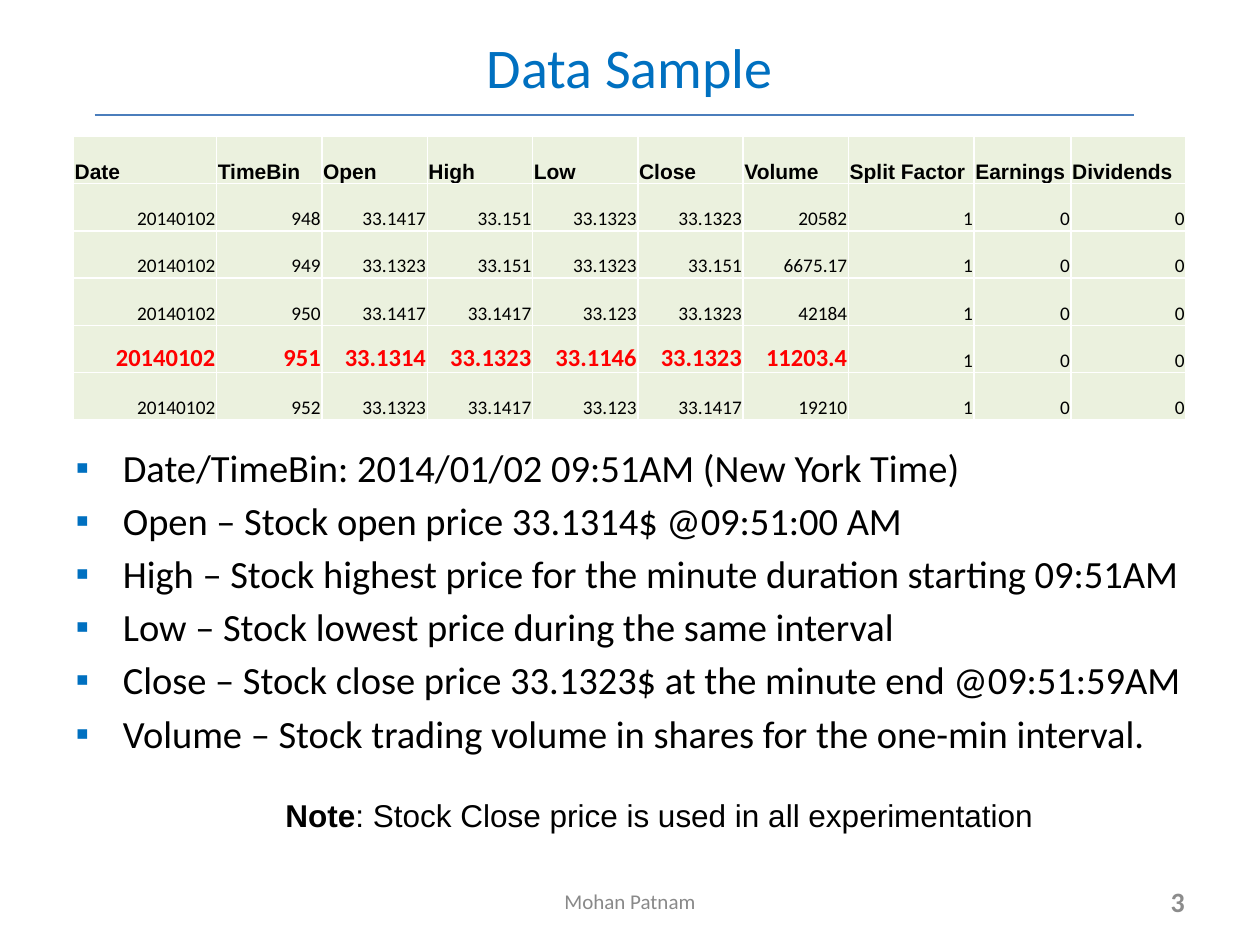
"""Build the stock data sample slide with its table, field list and note."""
from typing import NamedTuple

from lxml import etree
from pptx import Presentation
from pptx.dml.color import RGBColor
from pptx.enum.shapes import MSO_CONNECTOR
from pptx.enum.text import MSO_ANCHOR, MSO_AUTO_SIZE, PP_ALIGN
from pptx.oxml.ns import qn
from pptx.util import Pt

LEFT, CENTER, RIGHT = PP_ALIGN.LEFT, PP_ALIGN.CENTER, PP_ALIGN.RIGHT
TOP, MIDDLE, BOTTOM = MSO_ANCHOR.TOP, MSO_ANCHOR.MIDDLE, MSO_ANCHOR.BOTTOM
NO_AUTO_SIZE = MSO_AUTO_SIZE.NONE
STRAIGHT = MSO_CONNECTOR.STRAIGHT

COLORS = {
    "accent": "0070C0", "text": "000000", "highlight": "FF0000", "cell": "EBF1DE",
    "border": "FFFFFF", "rule": "4B7EBC", "footer": "898989", "number": "8C8C8C",
}


class Style(NamedTuple):
    """Describe the look of a run of text."""

    size: float
    font: str = "Calibri"
    color: str = "text"
    bold: bool = False


class Box(NamedTuple):
    """Hold a position and size in points."""

    left: float
    top: float
    width: float
    height: float


class Label(NamedTuple):
    """Describe a text box; each segment is a text with its style."""

    box: Box
    segments: list[tuple[str, Style]]
    alignment: PP_ALIGN
    anchor: MSO_ANCHOR


TITLE = Style(32, color="accent")
BODY = Style(22)
HEADER = Style(12, "Arial", bold=True)
DATA = Style(11)
HIGHLIGHT = Style(14, color="highlight", bold=True)
NOTE = Style(18, "Arial")
NOTE_HEADING = Style(18, "Arial", bold=True)

COLUMN_WIDTHS = [81.8] + [60.2] * 6 + [71.8, 55.4, 65.6]
ROW_HEIGHT = 27
HEADINGS = ["Date", "TimeBin", "Open", "High", "Low", "Close", "Volume",
            "Split Factor", "Earnings", "Dividends"]
DATE = "20140102"
CONSTANT_VALUES = ["1", "0", "0"]
HIGHLIGHT_BIN = "951"
MINUTES = [
    ["948", "33.1417", "33.151", "33.1323", "33.1323", "20582"],
    ["949", "33.1323", "33.151", "33.1323", "33.151", "6675.17"],
    ["950", "33.1417", "33.1417", "33.123", "33.1323", "42184"],
    [HIGHLIGHT_BIN, "33.1314", "33.1323", "33.1146", "33.1323", "11203.4"],
    ["952", "33.1323", "33.1417", "33.123", "33.1417", "19210"],
]
FIELDS = [
    "Date/TimeBin: 2014/01/02 09:51AM (New York Time)",
    "Open – Stock open price 33.1314$ @09:51:00 AM",
    "High – Stock highest price for the minute duration starting 09:51AM",
    "Low – Stock lowest price during the same interval",
    "Close – Stock close price 33.1323$ at the minute end @09:51:59AM",
    "Volume – Stock trading volume in shares for the one-min interval.",
]
LABELS = [
    Label(Box(156, 451.5, 459, 29),
          [("Note", NOTE_HEADING),
           (": Stock Close price is used in all experimentation", NOTE)], LEFT, TOP),
    Label(Box(246, 500.5, 228, 28.8),
          [("Mohan Patnam", Style(12, color="footer"))], CENTER, MIDDLE),
    Label(Box(516, 500.5, 168, 28.8),
          [("3", Style(16, color="number", bold=True))], RIGHT, MIDDLE),
]


def rgb(name: str) -> RGBColor:
    """Return the named colour."""
    return RGBColor.from_string(COLORS[name])


def format_font(font, style: Style) -> None:
    """Apply a style to a font."""
    font.size, font.name, font.bold = Pt(style.size), style.font, style.bold
    font.color.rgb = rgb(style.color)


def place(shape, box: Box) -> None:
    """Move a shape to a box."""
    shape.left, shape.top, shape.width, shape.height = map(Pt, box)


def fill_title(shape) -> None:
    """Write the slide title."""
    place(shape, Box(36, 9.5, 648, 56))
    shape.text_frame.text = "Data Sample"
    shape.text_frame.vertical_anchor = MIDDLE
    paragraph = shape.text_frame.paragraphs[0]
    paragraph.alignment = CENTER
    format_font(paragraph.runs[0].font, TITLE)


def add_bullet(paragraph) -> None:
    """Give a paragraph a hanging square bullet."""
    properties = paragraph._p.get_or_add_pPr()
    properties.set("marL", str(Pt(27)))
    properties.set("indent", str(-Pt(27)))
    color = etree.SubElement(properties, qn("a:buClr"))
    etree.SubElement(color, qn("a:srgbClr"), val=COLORS["accent"])
    etree.SubElement(properties, qn("a:buFont"), typeface="Arial")
    etree.SubElement(properties, qn("a:buChar"), char="▪")


def fill_body(shape) -> None:
    """Write the list of field explanations."""
    place(shape, Box(36, 250, 648, 194))
    text_frame = shape.text_frame
    text_frame.text = "\n".join(FIELDS)
    text_frame.auto_size = NO_AUTO_SIZE
    for index, paragraph in enumerate(text_frame.paragraphs):
        add_bullet(paragraph)
        paragraph.space_before = Pt(4 if index else 0)
        format_font(paragraph.runs[0].font, BODY)


def fill_cell(cell, text: str, style: Style, alignment: PP_ALIGN) -> None:
    """Write one table cell with its borders and fill."""
    cell.text_frame.text = text
    cell.vertical_anchor = BOTTOM
    cell.margin_left = cell.margin_right = cell.margin_top = Pt(0.7)
    cell.margin_bottom = 0
    properties = cell._tc.get_or_add_tcPr()
    for side in ("lnL", "lnR", "lnT", "lnB"):
        border = etree.SubElement(properties, qn(f"a:{side}"), w=str(Pt(1)))
        solid = etree.SubElement(border, qn("a:solidFill"))
        etree.SubElement(solid, qn("a:srgbClr"), val=COLORS["border"])
    cell.fill.solid()
    cell.fill.fore_color.rgb = rgb("cell")
    paragraph = cell.text_frame.paragraphs[0]
    paragraph.alignment = alignment
    format_font(paragraph.runs[0].font, style)


def add_data_table(slide) -> None:
    """Add the table of minute prices."""
    rows = [HEADINGS] + [[DATE, *minute, *CONSTANT_VALUES] for minute in MINUTES]
    box = Box(42, 78, sum(COLUMN_WIDTHS), ROW_HEIGHT * len(rows))
    table = slide.shapes.add_table(len(rows), len(HEADINGS), *map(Pt, box)).table
    table.first_row = table.horz_banding = False
    for column, width in zip(table.columns, COLUMN_WIDTHS):
        column.width = Pt(width)
    measured_columns = len(HEADINGS) - len(CONSTANT_VALUES)
    for row_index, values in enumerate(rows):
        table.rows[row_index].height = Pt(ROW_HEIGHT)
        for column_index, value in enumerate(values):
            style = HEADER if row_index == 0 else DATA
            if values[1] == HIGHLIGHT_BIN and column_index < measured_columns:
                style = HIGHLIGHT
            fill_cell(table.cell(row_index, column_index), value, style,
                      RIGHT if row_index else LEFT)


def add_rule(slide) -> None:
    """Add the line under the title."""
    rule = slide.shapes.add_connector(STRAIGHT, Pt(54), Pt(65.7), Pt(648), Pt(65.7))
    rule.line.color.rgb = rgb("rule")
    rule.line.width = Pt(0.75)
    etree.SubElement(rule._element.spPr, qn("a:effectLst"))


def add_label(slide, label: Label) -> None:
    """Add a single-paragraph text box."""
    text_frame = slide.shapes.add_textbox(*map(Pt, label.box)).text_frame
    text_frame.word_wrap = True
    text_frame.vertical_anchor = label.anchor
    paragraph = text_frame.paragraphs[0]
    paragraph.alignment = label.alignment
    for text, style in label.segments:
        run = paragraph.add_run()
        run.text = text
        format_font(run.font, style)


def main() -> None:
    """Build and save the presentation."""
    presentation = Presentation()
    presentation.slide_width, presentation.slide_height = Pt(720), Pt(540)
    slide = presentation.slides.add_slide(presentation.slide_layouts[1])
    fill_title(slide.shapes.title)
    fill_body(slide.placeholders[1])
    add_data_table(slide)
    add_rule(slide)
    for label in LABELS:
        add_label(slide, label)
    presentation.save("out.pptx")


if __name__ == "__main__":
    main()
